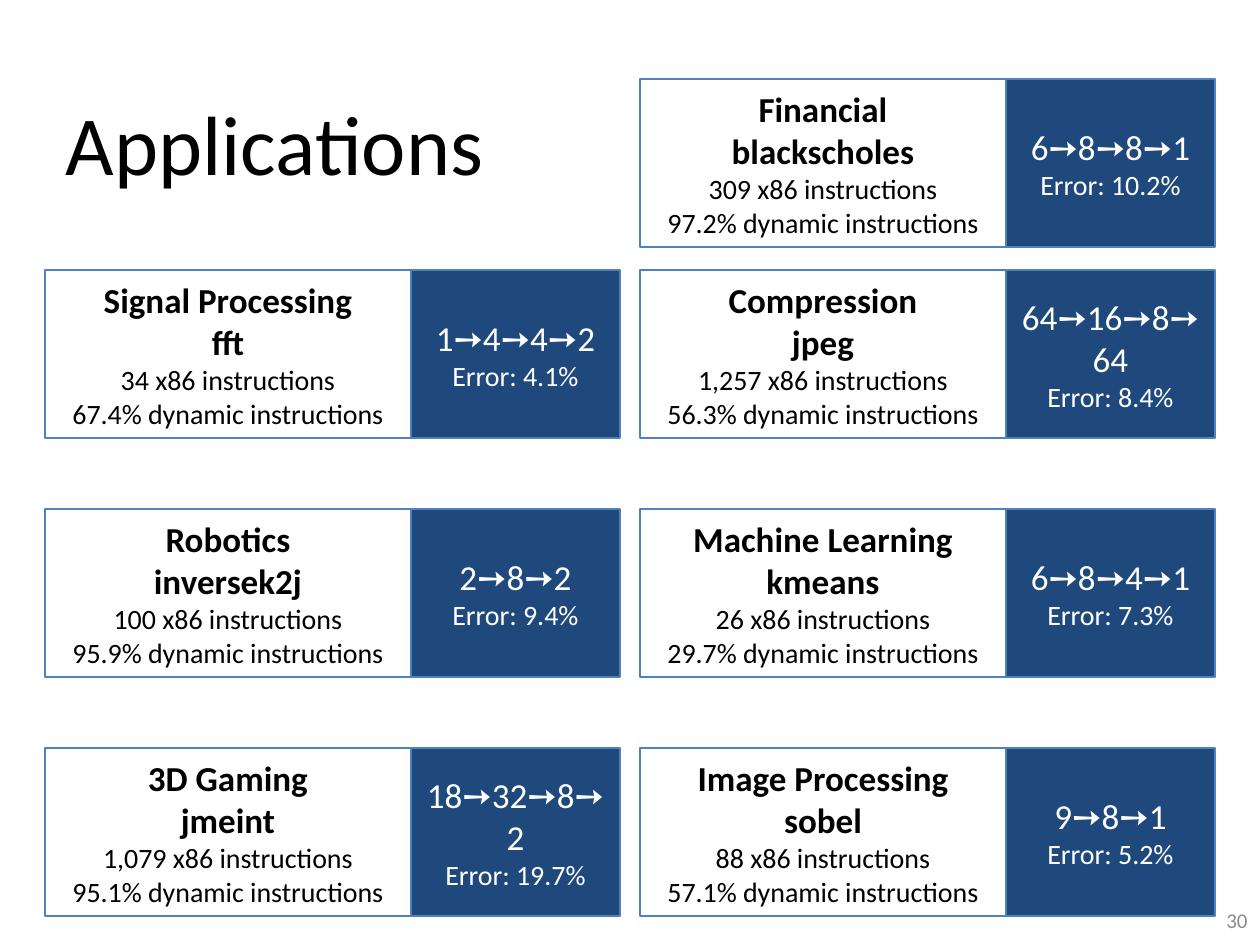
from pptx import Presentation
from pptx.dml.color import RGBColor
from pptx.enum.shapes import MSO_SHAPE as Shape
from pptx.enum.text import MSO_ANCHOR as Anchor, PP_ALIGN as Align
from pptx.util import Emu, Pt

PX_PER_INCH = 126
INSET = 13
ROW_TOP = 270
ROW_STEP = 239
COLUMNS = (45, 640)
CARD_WIDTH, CARD_HEIGHT = 575, 168
DETAIL_WIDTH = 366
BLACK, WHITE, NAVY, BLUE, GRAY = "000000", "FFFFFF", "1F497D", "4F81BD", "8C8C8C"

APPLICATIONS = [
    (0, ROW_TOP, "Signal Processing", "fft", "34", "67.4%", "1➙4➙4➙2", "4.1%"),
    (0, ROW_TOP + ROW_STEP, "Robotics", "inversek2j", "100", "95.9%", "2➙8➙2", "9.4%"),
    (0, ROW_TOP + 2 * ROW_STEP, "3D Gaming", "jmeint", "1,079", "95.1%", "18➙32➙8➙2", "19.7%"),
    (1, ROW_TOP, "Compression", "jpeg", "1,257", "56.3%", "64➙16➙8➙64", "8.4%"),
    (1, ROW_TOP + ROW_STEP, "Machine Learning", "kmeans", "26", "29.7%", "6➙8➙4➙1", "7.3%"),
    (1, ROW_TOP + 2 * ROW_STEP, "Image Processing", "sobel", "88", "57.1%", "9➙8➙1", "5.2%"),
    (1, 79, "Financial", "blackscholes", "309", "97.2%", "6➙8➙8➙1", "10.2%"),
]


def px(length):
    return Emu(round(length * 914400 / PX_PER_INCH))


def color(value):
    return RGBColor.from_string(value)


def write(para, text, size=16, fill=BLACK, bold=False, align=Align.CENTER):
    para.alignment = align
    for index, line in enumerate(text.split("\n")):
        if index:
            para.add_line_break()
        span = para.add_run()
        span.text = line
        span.font.name = "Calibri"
        span.font.size = Pt(size)
        span.font.bold = bold
        span.font.color.rgb = color(fill)


def add_panel(page, box, fill, text_fill, heading, details, bold=False):
    panel = page.shapes.add_shape(Shape.RECTANGLE, *map(px, box))
    panel.shadow.inherit = False
    panel.fill.solid()
    panel.fill.fore_color.rgb = color(fill)
    panel.line.color.rgb = color(BLUE)
    panel.line.width = Pt(1.5)
    frame = panel.text_frame
    frame.word_wrap = True
    frame.vertical_anchor = Anchor.MIDDLE
    frame.margin_left = frame.margin_right = px(INSET)
    frame.margin_top = frame.margin_bottom = px(INSET)
    write(frame.paragraphs[0], heading, size=20, fill=text_fill, bold=bold)
    for detail in details:
        write(frame.add_paragraph(), detail, fill=text_fill)


def add_card(page, box, domain, program, instructions, dynamic, topology, error):
    left, top, width, height = box
    add_panel(page, (left, top, DETAIL_WIDTH, height), WHITE, BLACK,
              f"{domain}\n{program}",
              [f"{instructions} x86 instructions", f"{dynamic} dynamic instructions"],
              bold=True)
    add_panel(page, (left + DETAIL_WIDTH, top, width - DETAIL_WIDTH, height), NAVY, WHITE,
              topology, [f"Error: {error}"])


def add_title(page, box):
    title = page.shapes.title
    title.left, title.top, title.width, title.height = map(px, box)
    title.text_frame.vertical_anchor = Anchor.MIDDLE
    write(title.text_frame.paragraphs[0], "Applications", size=48, align=Align.LEFT)


def add_page_number(page, box):
    number = page.shapes.add_textbox(*map(px, box))
    number.text_frame.word_wrap = True
    number.text_frame.vertical_anchor = Anchor.MIDDLE
    write(number.text_frame.paragraphs[0], "30", size=12, fill=GRAY, align=Align.RIGHT)


def main():
    deck = Presentation()
    deck.slide_width, deck.slide_height = px(1260), px(945)
    page = deck.slides.add_slide(deck.slide_layouts[5])
    add_title(page, (53, 63, 1134, 158))
    for column, top, *facts in APPLICATIONS:
        add_card(page, (COLUMNS[column], top, CARD_WIDTH, CARD_HEIGHT), *facts)
    add_page_number(page, (966, 895, 294, 50))
    deck.save("out.pptx")


if __name__ == "__main__":
    main()
